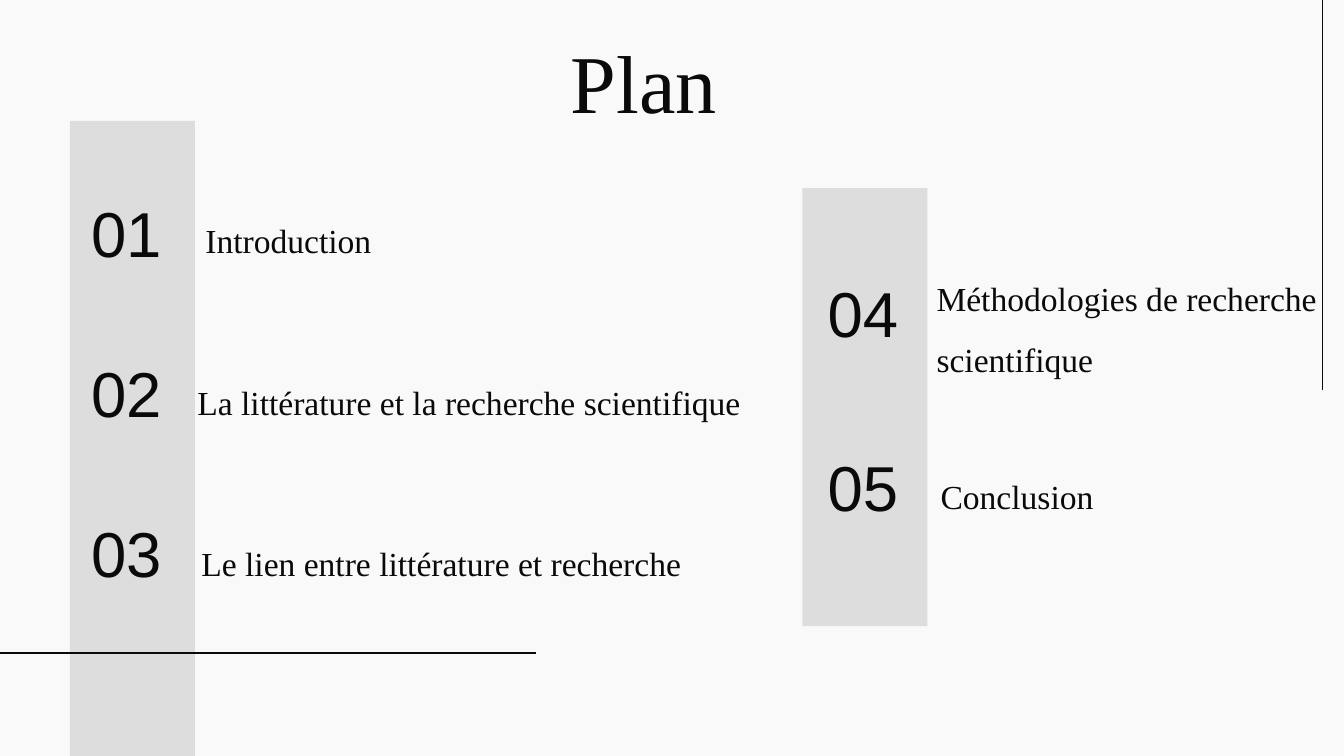
from dataclasses import dataclass

from lxml import etree
from pptx import Presentation
from pptx import util as u
from pptx.dml.color import RGBColor
from pptx.enum import shapes, text
from pptx.oxml import ns


@dataclass(frozen=True)
class Theme:
    paper: RGBColor = RGBColor(0xF9, 0xF9, 0xF9)
    band: RGBColor = RGBColor(0xDD, 0xDD, 0xDD)
    ink: RGBColor = RGBColor(0x0A, 0x0A, 0x0A)
    serif: str = "Times New Roman"
    sans: str = "Arial"
    title_size: float = 44
    number_size: float = 34
    topic_size: float = 18
    rule_width: float = 0.75


@dataclass(frozen=True)
class Area:
    left: float
    top: float
    width: float
    height: float

    def lengths(self) -> tuple:
        return tuple(u.Inches(v) for v in (self.left, self.top, self.width, self.height))


@dataclass(frozen=True)
class Entry:
    number: str
    number_left: float
    number_top: float
    topic: str
    topic_area: Area


THEME = Theme()
WIDTH = 10
HEIGHT = WIDTH * 9 / 16
NUMBER_WIDTH, NUMBER_HEIGHT = 0.96, 1.26
LEFT_NUMBERS, RIGHT_NUMBERS = 0.46, 5.94
FIRST_TOP, STEP = 1.1, 1.19

BANDS = (Area(5.97, 1.4, 0.93, 3.26), Area(0.52, 0.9, 0.93, HEIGHT - 0.9))
RULES = (((9.84, 0), (9.84, 2.9)), ((0, 4.86), (3.99, 4.86)))
ENTRIES = (
    Entry("01", LEFT_NUMBERS, FIRST_TOP, "Introduction", Area(1.43, 1.39, 2.6, 0.6)),
    Entry("02", LEFT_NUMBERS, FIRST_TOP + STEP,
          "La littérature et la recherche scientifique", Area(1.37, 2.59, 4.45, 0.67)),
    Entry("03", LEFT_NUMBERS, FIRST_TOP + 2 * STEP,
          "Le lien entre littérature et recherche", Area(1.4, 3.79, 4.08, 0.62)),
    Entry("04", RIGHT_NUMBERS, 1.69,
          "Méthodologies de recherche scientifique", Area(6.87, 1.82, 3.13, 1.17)),
    Entry("05", RIGHT_NUMBERS, 2.99, "Conclusion", Area(6.9, 3.29, 2.6, 0.6)),
)


def add_band(page, area: Area) -> None:
    band = page.shapes.add_shape(shapes.MSO_SHAPE.RECTANGLE, *area.lengths())
    band.shadow.inherit = False
    band.fill.solid()
    band.fill.fore_color.rgb = THEME.band
    band.line.fill.background()


def add_rule(page, start: tuple, end: tuple) -> None:
    points = (u.Inches(v) for v in start + end)
    rule = page.shapes.add_connector(shapes.MSO_CONNECTOR.STRAIGHT, *points)
    rule.line.color.rgb = THEME.ink
    rule.line.width = u.Pt(THEME.rule_width)
    etree.SubElement(rule._element.spPr, ns.qn("a:effectLst"))


def add_text(page, area: Area, words: str, font: str, size: float,
             align=text.PP_ALIGN.CENTER, anchor=text.MSO_ANCHOR.TOP):
    frame = page.shapes.add_textbox(*area.lengths()).text_frame
    frame.word_wrap = True
    frame.vertical_anchor = anchor
    frame.margin_left = frame.margin_right = u.Inches(0.1)
    frame.margin_top = frame.margin_bottom = u.Inches(0.1)
    para = frame.paragraphs[0]
    para.text = words
    para.alignment = align
    para.font.name = font
    para.font.size = u.Pt(size)
    para.font.color.rgb = THEME.ink
    return para


def add_entry(page, entry: Entry) -> None:
    number_area = Area(entry.number_left, entry.number_top, NUMBER_WIDTH, NUMBER_HEIGHT)
    add_text(page, number_area, entry.number, THEME.sans, THEME.number_size,
             anchor=text.MSO_ANCHOR.MIDDLE)
    topic = add_text(page, entry.topic_area, entry.topic, THEME.serif, THEME.topic_size,
                     align=text.PP_ALIGN.LEFT)
    topic.line_spacing = 1.5
    topic.space_after = u.Pt(16)


def main() -> None:
    """Build the outline slide with its numbered topics."""
    deck = Presentation()
    deck.slide_width, deck.slide_height = u.Inches(WIDTH), u.Inches(HEIGHT)
    page = deck.slides.add_slide(deck.slide_layouts[6])
    page.background.fill.solid()
    page.background.fill.fore_color.rgb = THEME.paper
    for area in BANDS:
        add_band(page, area)
    for start, end in RULES:
        add_rule(page, start, end)
    add_text(page, Area(3.27, 0.13, 3.04, 0.89), "Plan", THEME.serif, THEME.title_size)
    for entry in ENTRIES:
        add_entry(page, entry)
    deck.save("out.pptx")


if __name__ == "__main__":
    main()
